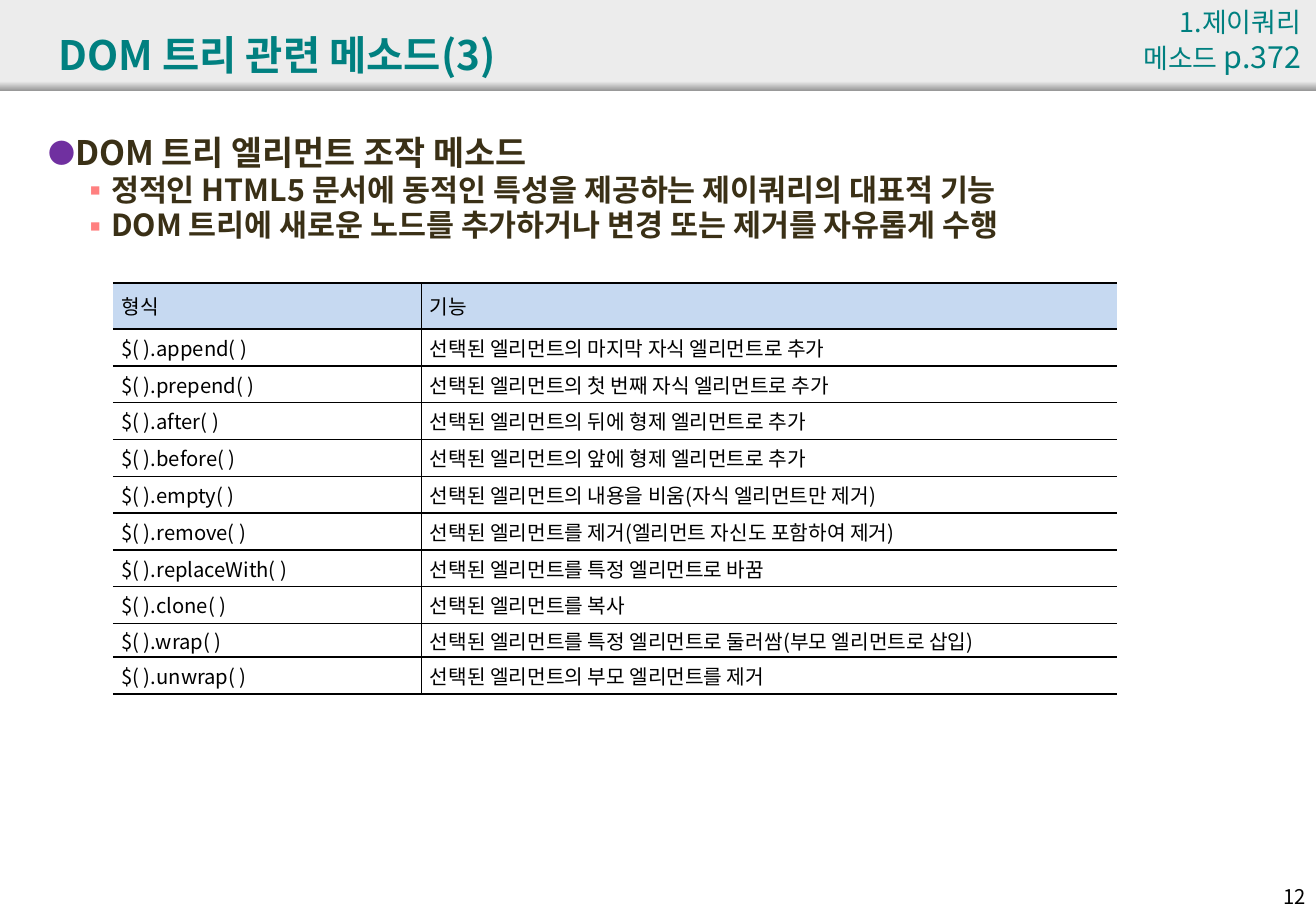
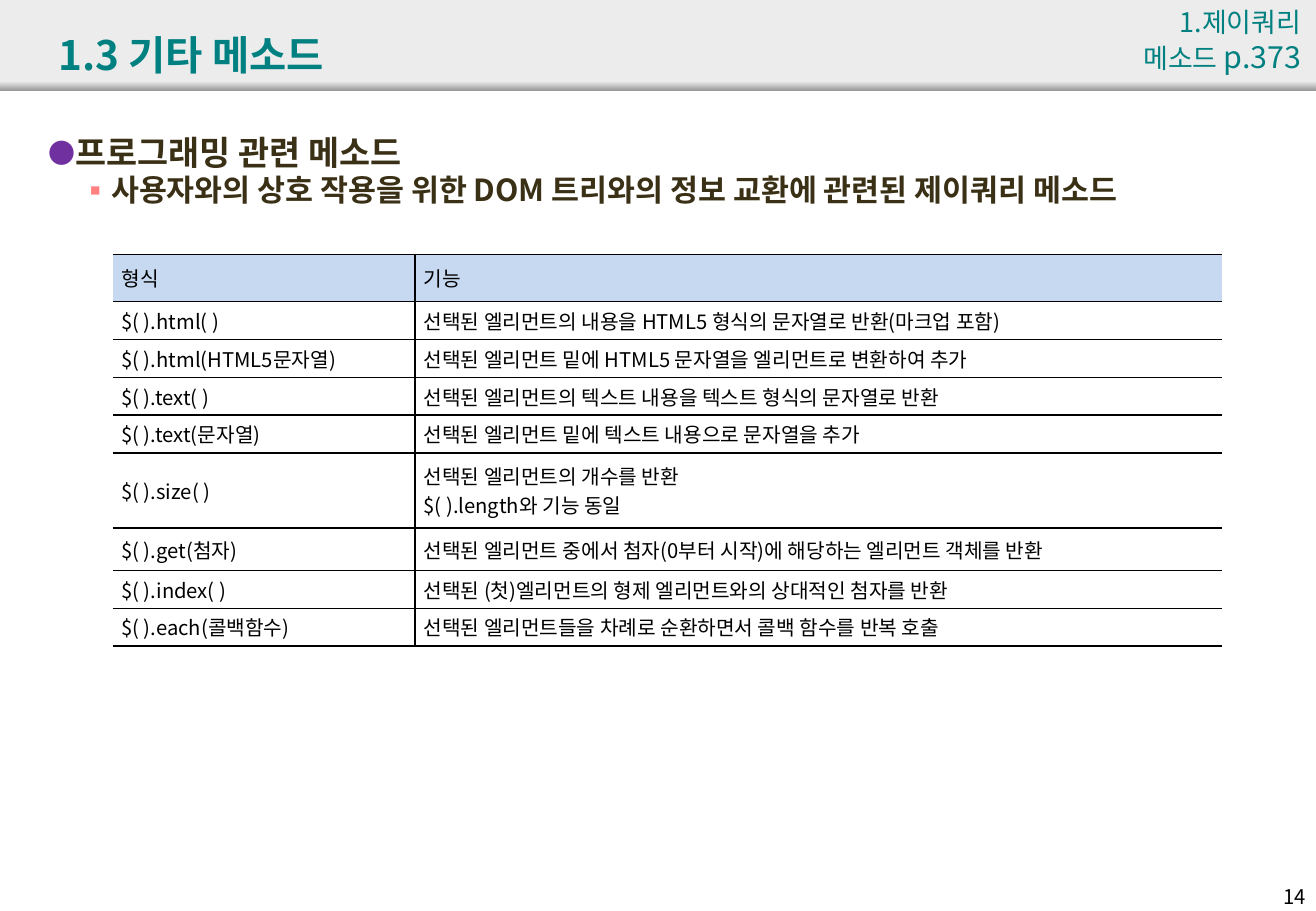
from dataclasses import dataclass

from lxml import etree
from pptx import Presentation
from pptx.dml.color import RGBColor
from pptx.enum.shapes import MSO_SHAPE
from pptx.enum.text import MSO_ANCHOR, PP_ALIGN
from pptx.oxml.ns import qn
from pptx.util import Cm, Pt

RECTANGLE = MSO_SHAPE.RECTANGLE
TOP, MIDDLE = MSO_ANCHOR.TOP, MSO_ANCHOR.MIDDLE
LEFT, RIGHT, JUSTIFY = PP_ALIGN.LEFT, PP_ALIGN.RIGHT, PP_ALIGN.JUSTIFY

FONT = "Noto Sans CJK KR"
COLORS = {
    "band": "ECECEC",
    "band_edge": "979797",
    "title": "008080",
    "body": "3A3016",
    "topic_bullet": "7030A0",
    "detail_bullet": "FF8080",
    "table_head": "C6D9F1",
    "ink": "000000",
}
SLIDE_WIDTH, SLIDE_HEIGHT = 27.52, 19.05
TABLE_LEFT = 2.36


@dataclass(frozen=True)
class Box:
    left: float
    top: float
    width: float
    height: float

    def lengths(self):
        return Cm(self.left), Cm(self.top), Cm(self.width), Cm(self.height)


@dataclass(frozen=True)
class BulletStyle:
    level: int
    symbol: str
    color: str
    scale: int
    indent: float
    size: int


@dataclass(frozen=True)
class Method:
    form: str
    purpose: str
    height: float


@dataclass(frozen=True)
class Page:
    title: str
    number: str
    book_page: str
    topic: str
    details: tuple
    table_top: float
    columns: tuple
    methods: tuple


BAND = Box(0, 0, SLIDE_WIDTH, 1.9)
BAND_EDGE = Box(0, 1.7, SLIDE_WIDTH, 0.2)
TITLE = Box(0.97, 0.33, 25.2, 1.6)
BODY = Box(0.76, 2.72, 26.21, 15.8)
CHAPTER = Box(22.94, 0, 4.52, 1.02)
PAGE_NUMBER = Box(26.16, 18.36, 1.4, 0.76)

TOPIC = BulletStyle(0, "●", "topic_bullet", 80, 0.51, 20)
DETAIL = BulletStyle(1, "▪", "detail_bullet", 100, 1.19, 18)

PAGES = (
    Page(
        "DOM 트리 관련 메소드(3)", "12", "p.372",
        "DOM 트리 엘리먼트 조작 메소드",
        ("정적인 HTML5 문서에 동적인 특성을 제공하는 제이쿼리의 대표적 기능",
         "DOM 트리에 새로운 노드를 추가하거나 변경 또는 제거를 자유롭게 수행"),
        5.92, (6.45, 14.55),
        (
            Method("형식", "기능", 0.96),
            Method("$( ).append( )", "선택된 엘리먼트의 마지막 자식 엘리먼트로 추가", 0.77),
            Method("$( ).prepend( )", "선택된 엘리먼트의 첫 번째 자식 엘리먼트로 추가", 0.77),
            Method("$( ).after( )", "선택된 엘리먼트의 뒤에 형제 엘리먼트로 추가", 0.77),
            Method("$( ).before( )", "선택된 엘리먼트의 앞에 형제 엘리먼트로 추가", 0.77),
            Method("$( ).empty( )", "선택된 엘리먼트의 내용을 비움(자식 엘리먼트만 제거)", 0.77),
            Method("$( ).remove( )", "선택된 엘리먼트를 제거(엘리먼트 자신도 포함하여 제거)", 0.77),
            Method("$( ).replaceWith( )", "선택된 엘리먼트를 특정 엘리먼트로 바꿈", 0.77),
            Method("$( ).clone( )", "선택된 엘리먼트를 복사", 0.77),
            Method("$( ).wrap( )", "선택된 엘리먼트를 특정 엘리먼트로 둘러쌈(부모 엘리먼트로 삽입)", 0.7),
            Method("$( ).unwrap( )", "선택된 엘리먼트의 부모 엘리먼트를 제거", 0.77),
        ),
    ),
    Page(
        "1.3 기타 메소드", "14", "p.373",
        "프로그래밍 관련 메소드",
        ("사용자와의 상호 작용을 위한 DOM 트리와의 정보 교환에 관련된 제이쿼리 메소드",),
        5.32, (6.32, 16.87),
        (
            Method("형식", "기능", 0.99),
            Method("$( ).html( )", "선택된 엘리먼트의 내용을 HTML5 형식의 문자열로 반환(마크업 포함)", 0.79),
            Method("$( ).html(HTML5문자열)", "선택된 엘리먼트 밑에 HTML5 문자열을 엘리먼트로 변환하여 추가", 0.79),
            Method("$( ).text( )", "선택된 엘리먼트의 텍스트 내용을 텍스트 형식의 문자열로 반환", 0.79),
            Method("$( ).text(문자열)", "선택된 엘리먼트 밑에 텍스트 내용으로 문자열을 추가", 0.79),
            Method("$( ).size( )", "선택된 엘리먼트의 개수를 반환\n$( ).length와 기능 동일", 1.57),
            Method("$( ).get(첨자)", "선택된 엘리먼트 중에서 첨자(0부터 시작)에 해당하는 엘리먼트 객체를 반환", 0.89),
            Method("$( ).index( )", "선택된 (첫)엘리먼트의 형제 엘리먼트와의 상대적인 첨자를 반환", 0.79),
            Method("$( ).each(콜백함수)", "선택된 엘리먼트들을 차례로 순환하면서 콜백 함수를 반복 호출", 0.79),
        ),
    ),
)


def rgb(name: str) -> RGBColor:
    return RGBColor.from_string(COLORS[name])


def add_run(paragraph, text: str, size: int, color: str, bold: bool = False) -> None:
    run = paragraph.add_run()
    run.text = text
    run.font.name = FONT
    run.font.size = Pt(size)
    run.font.bold = bold
    run.font.color.rgb = rgb(color)
    latin = run.font._element.find(qn("a:latin"))
    east_asian = etree.Element(qn("a:ea"), typeface=FONT)
    latin.addnext(east_asian)


def add_text_frame(slide, box: Box, align=LEFT, anchor=TOP):
    frame = slide.shapes.add_textbox(*box.lengths()).text_frame
    frame.word_wrap = True
    frame.vertical_anchor = anchor
    frame.paragraphs[0].alignment = align
    return frame


def add_band(slide, box: Box):
    band = slide.shapes.add_shape(RECTANGLE, *box.lengths())
    band.shadow.inherit = False
    band.line.fill.background()
    return band.fill


def add_header(slide, page: Page) -> None:
    band = add_band(slide, BAND)
    band.solid()
    band.fore_color.rgb = rgb("band")
    edge = add_band(slide, BAND_EDGE)
    edge.gradient()
    edge.gradient_angle = 270
    for stop, color in zip(edge.gradient_stops, ("band", "band_edge")):
        stop.color.rgb = rgb(color)

    title = add_text_frame(slide, TITLE, anchor=MIDDLE)
    add_run(title.paragraphs[0], page.title, 24, "title", True)
    chapter = add_text_frame(slide, CHAPTER, RIGHT).paragraphs[0]
    add_run(chapter, "1.제이쿼리 메소드 ", 16, "title")
    add_run(chapter, page.book_page, 18, "title")
    number = add_text_frame(slide, PAGE_NUMBER, RIGHT)
    add_run(number.paragraphs[0], page.number, 12, "ink")


def add_bullet(paragraph, text: str, style: BulletStyle) -> None:
    paragraph.level = style.level
    paragraph.line_spacing = 0.9
    paragraph.space_before = Pt(1.5)
    properties = paragraph._p.get_or_add_pPr()
    properties.set("marL", str(Cm(style.indent)))
    properties.set("indent", str(-Cm(0.51)))
    color = etree.SubElement(properties, qn("a:buClr"))
    etree.SubElement(color, qn("a:srgbClr"), val=COLORS[style.color])
    etree.SubElement(properties, qn("a:buSzPct"), val=str(style.scale * 1000))
    etree.SubElement(properties, qn("a:buFont"), typeface=FONT)
    etree.SubElement(properties, qn("a:buChar"), char=style.symbol)
    add_run(paragraph, text, style.size, "body", True)


def add_body(slide, page: Page) -> None:
    frame = add_text_frame(slide, BODY)
    add_bullet(frame.paragraphs[0], page.topic, TOPIC)
    for detail in page.details:
        add_bullet(frame.add_paragraph(), detail, DETAIL)


def set_borders(cell, visible: str) -> None:
    properties = cell._tc.get_or_add_tcPr()
    for side in "LRTB":
        line = etree.SubElement(properties, qn(f"a:ln{side}"), w=str(Pt(1)))
        if side in visible:
            fill = etree.SubElement(line, qn("a:solidFill"))
            etree.SubElement(fill, qn("a:srgbClr"), val=COLORS["ink"])
        else:
            etree.SubElement(line, qn("a:noFill"))


def fill_cell(cell, text: str, is_head: bool, borders: str) -> None:
    set_borders(cell, borders)
    if is_head:
        cell.fill.solid()
        cell.fill.fore_color.rgb = rgb("table_head")
    else:
        cell.fill.background()
    cell.vertical_anchor = MIDDLE
    cell.margin_left = cell.margin_right = Cm(0.18)
    cell.margin_top = cell.margin_bottom = Cm(0)
    frame = cell.text_frame
    for index, line in enumerate(text.split("\n")):
        paragraph = frame.add_paragraph() if index else frame.paragraphs[0]
        paragraph.alignment = JUSTIFY
        add_run(paragraph, line, 12, "ink")


def add_method_table(slide, page: Page) -> None:
    height = sum(method.height for method in page.methods)
    box = Box(TABLE_LEFT, page.table_top, sum(page.columns), height)
    table = slide.shapes.add_table(
        len(page.methods), len(page.columns), *box.lengths()).table
    table.first_row = False
    table.horz_banding = False
    for column, width in zip(table.columns, page.columns):
        column.width = Cm(width)
    for index, method in enumerate(page.methods):
        table.rows[index].height = Cm(method.height)
        fill_cell(table.cell(index, 0), method.form, index == 0, "RTB")
        fill_cell(table.cell(index, 1), method.purpose, index == 0, "LTB")


def main() -> None:
    deck = Presentation()
    deck.slide_width, deck.slide_height = Cm(SLIDE_WIDTH), Cm(SLIDE_HEIGHT)
    blank = deck.slide_layouts[6]
    for page in PAGES:
        slide = deck.slides.add_slide(blank)
        add_header(slide, page)
        add_body(slide, page)
        add_method_table(slide, page)
    deck.save("out.pptx")


if __name__ == "__main__":
    main()
